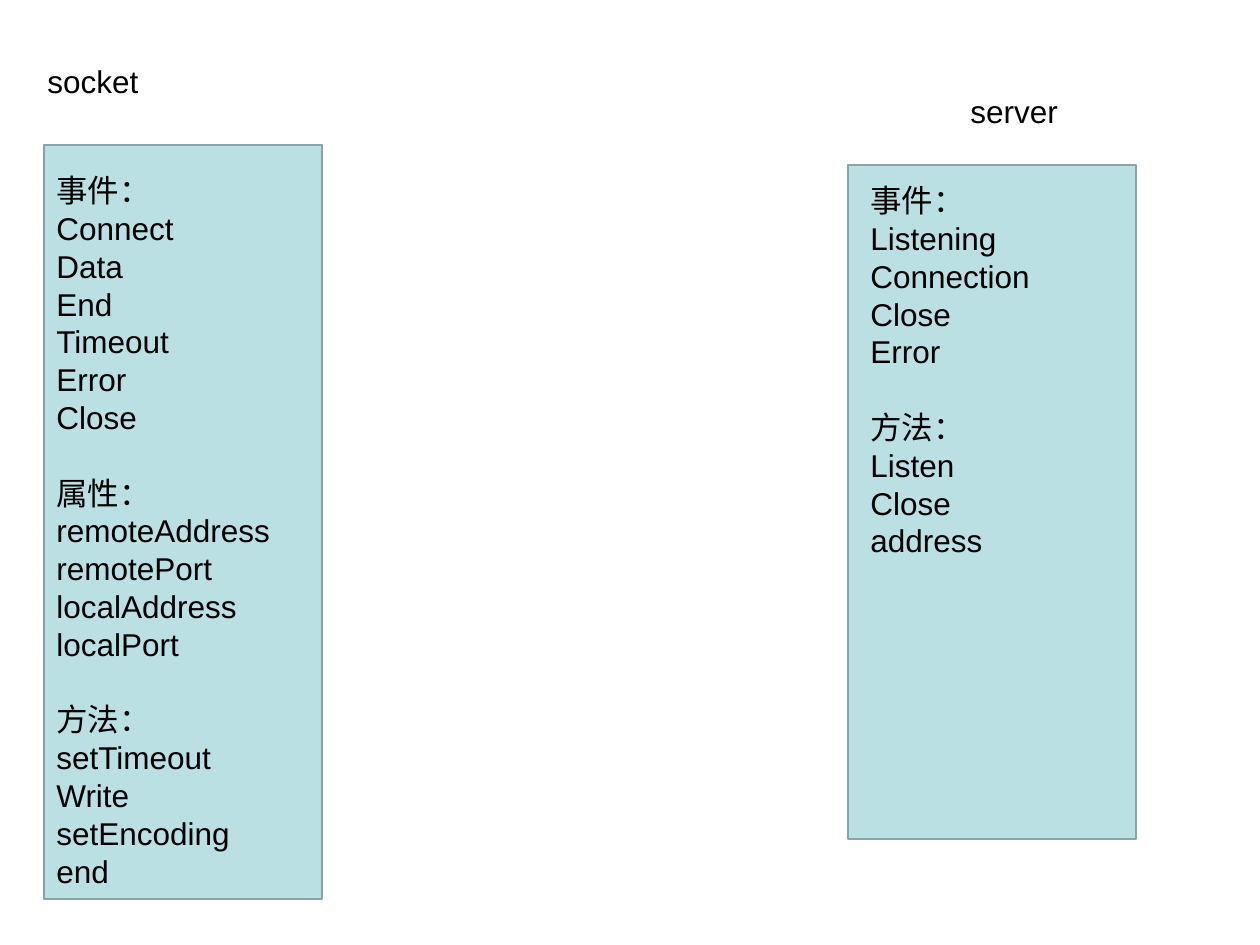
from pptx import Presentation
from pptx.dml.color import RGBColor
from pptx.enum.shapes import MSO_SHAPE
from pptx.util import Pt

PX = 914400 // 126
LINE_HEIGHT = Pt(21.6)


def color(hex_code):
    return RGBColor.from_string(hex_code)


def add_text(box, lines):
    """Add a text box; a list that follows another group starts after one line's gap."""
    frame = slide.shapes.add_textbox(*[n * PX for n in box]).text_frame
    frame.word_wrap = True
    frame.text = "\n".join(lines)
    for index, paragraph in enumerate(frame.paragraphs):
        paragraph.line_spacing = LINE_HEIGHT
        if index and paragraph.text.endswith("："):
            paragraph.space_before = LINE_HEIGHT
        font = paragraph.runs[0].font
        font.name = "Arial"
        font.size = Pt(18)
        font.color.rgb = color("000000")


prs = Presentation()
prs.slide_width, prs.slide_height = 1260 * PX, 945 * PX
slide = prs.slides.add_slide(prs.slide_layouts[6])

socket_members = [
    "事件：", "Connect", "Data", "End", "Timeout", "Error", "Close",
    "属性：", "remoteAddress", "remotePort", "localAddress", "localPort",
    "方法：", "setTimeout", "Write", "setEncoding", "end",
]
server_members = [
    "事件：", "Listening", "Connection", "Close", "Error",
    "方法：", "Listen", "Close", "address",
]

# Class name, its box, panel box, member box, members
classes = [
    ("socket", (35, 56, 122, 50), (44, 145, 278, 754), (44, 165, 297, 731), socket_members),
    ("server", (958, 86, 122, 50), (848, 165, 288, 674), (858, 175, 278, 391), server_members),
]

for title, title_box, panel_box, member_box, members in classes:
    add_text(title_box, [title])
    panel = slide.shapes.add_shape(MSO_SHAPE.RECTANGLE, *[n * PX for n in panel_box])
    panel.shadow.inherit = False
    panel.fill.solid()
    panel.fill.fore_color.rgb = color("BBE0E3")
    panel.line.color.rgb = color("89A4A7")
    panel.line.width = Pt(1)
    add_text(member_box, members)

prs.save("out.pptx")
